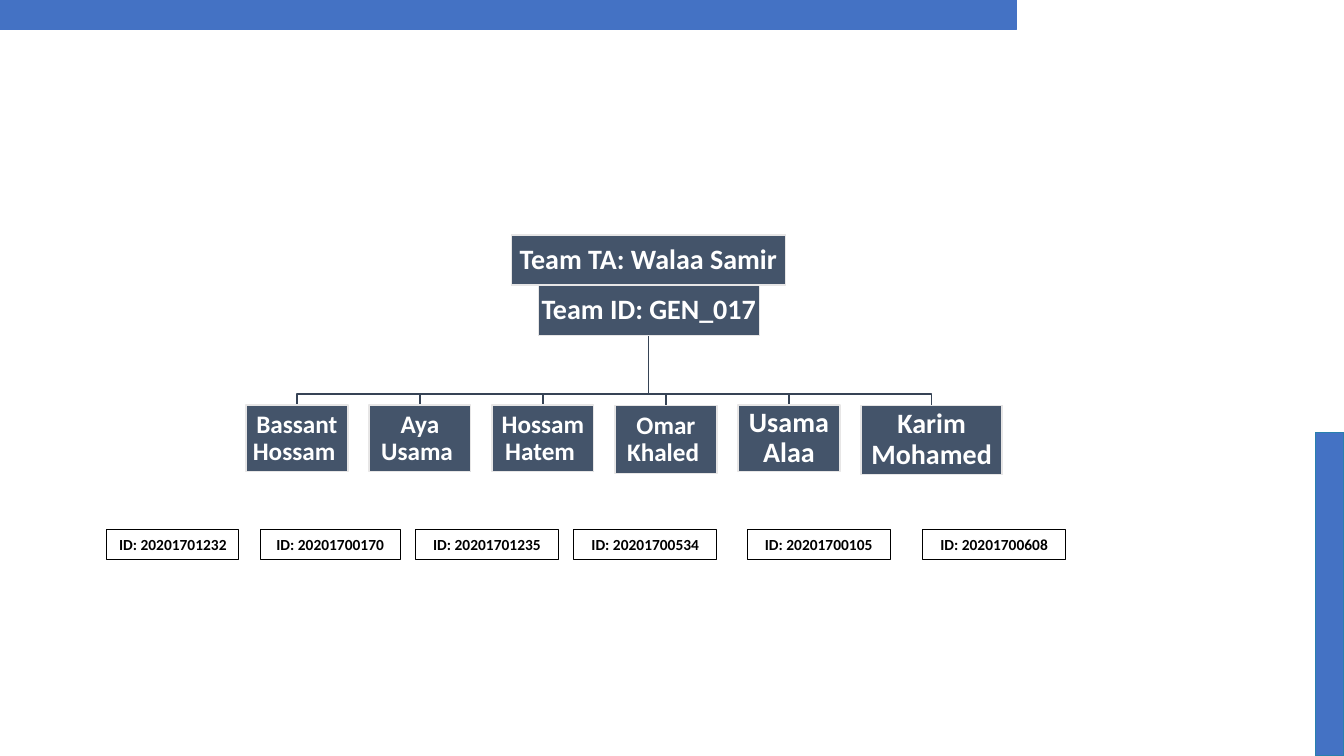
from pptx import Presentation
from pptx.dml.color import RGBColor
from pptx.enum.shapes import MSO_SHAPE as Preset
from pptx.enum.text import MSO_ANCHOR as Anchor, PP_ALIGN as Align
from pptx.util import Inches, Pt

BLUE, SLATE, PALE, RULE = "4472C4", "44546A", "E7E6E6", "364355"
WHITE, BLACK = "FFFFFF", "000000"

MEMBERS = [
    ("Bassant Hossam ", 18, 1.01, 0.66),
    ("Aya Usama ", 18, 1.01, 0.66),
    ("Hossam Hatem ", 18, 1.01, 0.66),
    ("Omar Khaled ", 18, 1.01, 0.68),
    ("Usama Alaa", 20, 1.01, 0.66),
    ("Karim Mohamed", 20, 1.4, 0.69),
]
STUDENT_IDS = [
    ("20201701232", 1.06, 1.31),
    ("20201700170", 2.58, 1.39),
    ("20201701235", 4.12, 1.42),
    ("20201700534", 5.69, 1.42),
    ("20201700105", 7.41, 1.42),
    ("20201700608", 9.15, 1.42),
]


def color(hex_string):
    """Turn a hex string into a colour."""
    return RGBColor.from_string(hex_string)


def add_box(slide, box, fill, line, line_width=1):
    """Draw a flat rectangle in the given box of inches."""
    rectangle = slide.shapes.add_shape(Preset.RECTANGLE, *map(Inches, box))
    rectangle.shadow.inherit = False
    rectangle.fill.solid()
    rectangle.fill.fore_color.rgb = color(fill)
    rectangle.line.color.rgb = color(line)
    rectangle.line.width = Pt(line_width)
    return rectangle


def write(rectangle, wording, size, ink, spacing):
    """Put one bold centred paragraph in a rectangle."""
    paragraph = rectangle.text_frame.paragraphs[0]
    paragraph.text = wording
    paragraph.alignment = Align.CENTER
    paragraph.line_spacing = spacing
    paragraph.font.name = "Calibri"
    paragraph.font.size = Pt(size)
    paragraph.font.bold = True
    paragraph.font.color.rgb = color(ink)


def add_node(slide, box, wording, size):
    """Draw one labelled node of the team chart."""
    node = add_box(slide, box, SLATE, PALE)
    frame = node.text_frame
    frame.word_wrap = True
    frame.vertical_anchor = Anchor.MIDDLE
    frame.margin_left = frame.margin_right = Inches(0.01)
    frame.margin_top = frame.margin_bottom = Inches(0.01)
    write(node, wording, size, WHITE, 0.9)


def add_branch(slide, start, end):
    """Draw an elbow line from the team node down to a member."""
    (start_x, start_y), (end_x, end_y) = start, end
    bend_y = end_y - 0.11
    corners = [(start_x, bend_y), (end_x, bend_y), (end_x, end_y)]
    builder = slide.shapes.build_freeform(Inches(start_x), Inches(start_y))
    builder.add_line_segments(
        [(Inches(x), Inches(y)) for x, y in corners], close=False
    )
    branch = builder.convert_to_shape()
    branch.shadow.inherit = False
    branch.fill.background()
    branch.line.color.rgb = color(RULE)
    branch.line.width = Pt(1)


def add_team_chart(slide, left, top):
    """Draw the assistant, the team and its members below."""
    center = left + 3.99
    team_top, members_top = top + 0.5, top + 1.69
    lefts = [left + 1.22 * index for index in range(len(MEMBERS))]
    for member_left, (_, _, width, _) in zip(lefts, MEMBERS):
        add_branch(slide, (center, team_top + 0.5),
                   (member_left + width / 2, members_top))
    add_node(slide, (center - 1.09, team_top, 2.19, 0.5), "Team ID: GEN_017", 20)
    for member_left, (name, size, width, height) in zip(lefts, MEMBERS):
        add_node(slide, (member_left, members_top, width, height), name, size)
    add_node(slide, (center - 1.36, top, 2.72, 0.5), "Team TA: Walaa Samir", 20)


def add_student_ids(slide, top):
    """Draw the row of student numbers."""
    for number, left, width in STUDENT_IDS:
        card = add_box(slide, (left, top, width, 0.3), WHITE, BLACK, 0.75)
        card.text_frame.word_wrap = True
        card.text_frame.vertical_anchor = Anchor.TOP
        write(card, f"ID: {number}", 11, BLACK, 1.07)


def add_accents(slide):
    """Draw the blue bars along the top and right edges."""
    add_box(slide, (0, 0, 10.08, 0.29), BLUE, BLUE)
    add_box(slide, (13.05, 4.29, 0.28, 3.21), BLUE, "2880AE")


def main():
    """Build the team slide and save it."""
    deck = Presentation()
    deck.slide_width, deck.slide_height = Inches(13.33), Inches(7.5)
    slide = deck.slides.add_slide(deck.slide_layouts[6])
    add_accents(slide)
    add_team_chart(slide, 2.44, 2.33)
    add_student_ids(slide, 5.25)
    deck.save("out.pptx")


if __name__ == "__main__":
    main()
